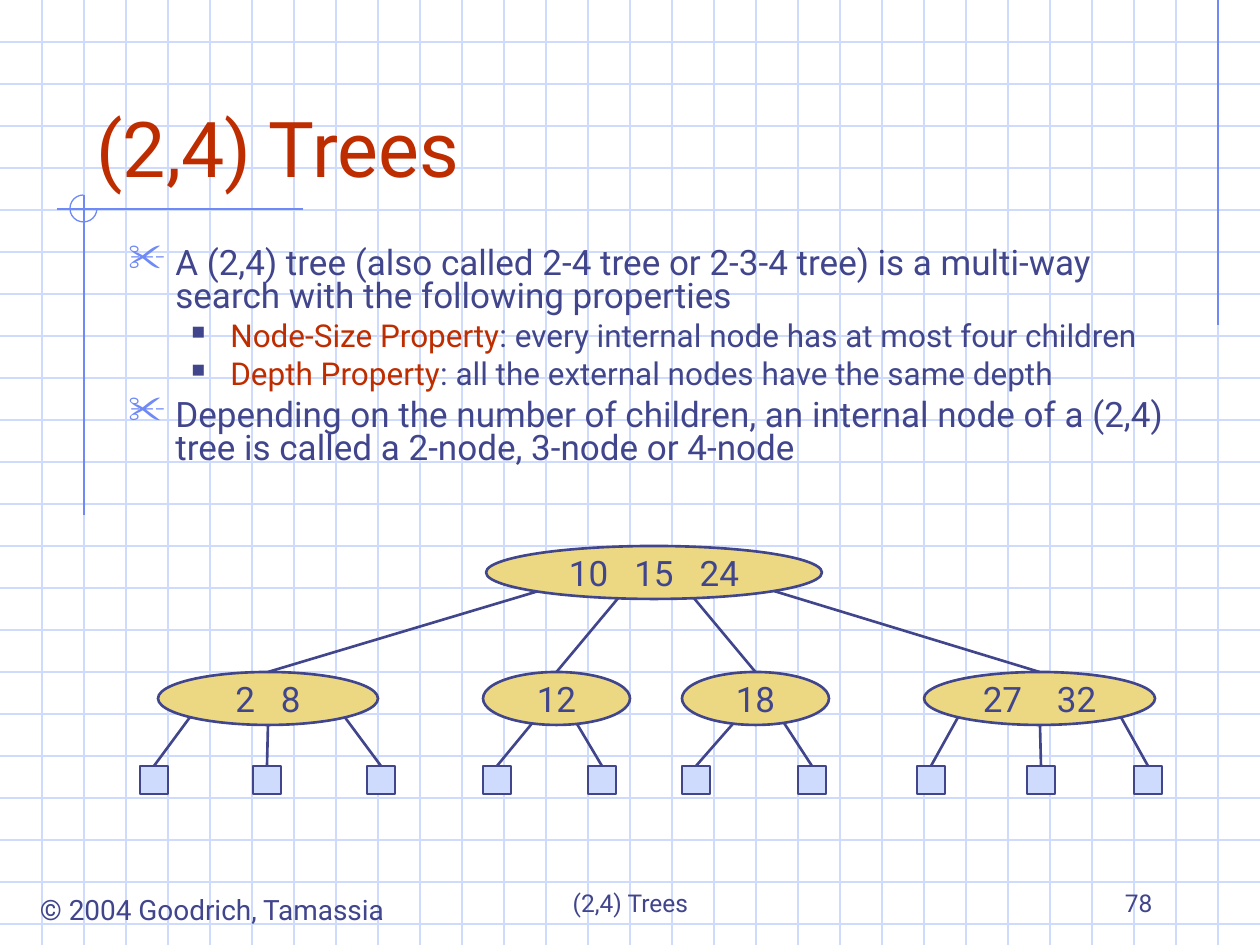
from math import sqrt

from lxml.etree import SubElement
from pptx import Presentation
from pptx.dml.color import RGBColor
from pptx.enum.shapes import MSO_CONNECTOR, MSO_SHAPE
from pptx.enum.text import MSO_ANCHOR as Anchor, MSO_AUTO_SIZE as AutoSize, PP_ALIGN as Align
from pptx.oxml.ns import qn
from pptx.util import Emu, Pt

FONT = "Roboto"
INK, RUST, BLUE = "40458C", "BE2D00", "6F89F7"
PALE, GOLD = "CFDBFD", "ECD882"
WIDTH, HEIGHT, GRID_STEP = 1260, 945, 42
NODE_HEIGHT, LEAF_SIZE = 53, 28
ROOT_TOP, CHILD_TOP, LEAF_TOP = 546, 672, 766
SPACE_WIDTH = 4.95

ROOT = (486, 336, ["10", "15", "24"], 3)
CHILDREN = [
    (537, (158, 220, ["2", "8"], 3), [(190, 140), (268, 253), (345, 367)]),
    (618, (483, 147, ["12"], 0), [(532, 483), (577, 588)]),
    (694, (682, 147, ["18"], 0), [(733, 682), (784, 798)]),
    (774, (924, 231, ["27", "32"], 4), [(958, 917), (1040, 1027), (1121, 1134)]),
]
POINTS = [
    (0, [("A (2,4) tree (also called 2-4 tree or 2-3-4 tree) is a multi-way "
          "search with the following properties", INK)]),
    (1, [("Node-Size Property", RUST),
         (": every internal node has at most four children", INK)]),
    (1, [("Depth Property", RUST),
         (": all the external nodes have the same depth", INK)]),
    (0, [("Depending on the number of children, an internal node of a (2,4) "
          "tree is called a 2-node, 3-node or 4-node", INK)]),
]
LEVELS = [
    {"size": 20, "margin": 47, "hang": 47, "before": 5,
     "bullet": ("✂", BLUE, 110)},
    {"size": 18, "margin": 102, "hang": 39, "before": 4.5,
     "bullet": ("■", INK, 60)},
]


def px(length):
    """Turn pixels into EMU."""
    return Emu(round(length * 914400 / 126))


def rgb(code):
    """Turn a hex string into a colour."""
    return RGBColor.from_string(code)


def style_font(font, size, color):
    """Set face, size and colour of a font."""
    font.name, font.size = FONT, Pt(size)
    font.color.rgb = rgb(color)


def add_line(slide, start, end, color, weight):
    """Draw a straight line without shadow."""
    line = slide.shapes.add_connector(
        MSO_CONNECTOR.STRAIGHT, *(px(value) for value in (*start, *end)))
    line.line.color.rgb, line.line.width = rgb(color), Pt(weight)
    SubElement(line._element.spPr, qn("a:effectLst"))
    return line


def add_figure(slide, preset, box, fill, color=INK, weight=1.5):
    """Draw a preset shape, hollow when no fill is given."""
    figure = slide.shapes.add_shape(preset, *(px(value) for value in box))
    figure.shadow.inherit = False
    if fill:
        figure.fill.solid()
        figure.fill.fore_color.rgb = rgb(fill)
    else:
        figure.fill.background()
    figure.line.color.rgb, figure.line.width = rgb(color), Pt(weight)
    return figure


def add_background(slide):
    """Draw the graph paper and its accent lines."""
    for y in range(GRID_STEP, HEIGHT, GRID_STEP):
        add_line(slide, (0, y), (WIDTH, y), PALE, 0.75)
    for x in range(GRID_STEP, WIDTH, GRID_STEP):
        add_line(slide, (x, 0), (x, HEIGHT), PALE, 0.75)
    for start, end in [((1218, 0), (1218, 325)), ((303, 209), (57, 209)),
                       ((84, 195), (84, 515))]:
        add_line(slide, start, end, BLUE, 0.75)
    arc = add_figure(slide, MSO_SHAPE.ARC, (70, 195, 27, 27), None, BLUE, 0.75)
    arc.adjustments[0], arc.adjustments[1] = 0, 162


def add_title(slide, text):
    """Place the title placeholder above the background."""
    title = slide.shapes.title
    slide.shapes._spTree.append(title._element)
    title.left, title.top, title.width, title.height = map(px, (84, 42, 1071, 157))
    frame = title.text_frame
    frame.text = text
    frame.vertical_anchor, frame.auto_size = Anchor.BOTTOM, AutoSize.NONE
    frame.paragraphs[0].alignment = Align.LEFT
    style_font(frame.paragraphs[0].runs[0].font, 44, RUST)


def add_label(slide, box, text, size, align, anchor=Anchor.BOTTOM, wrap=True):
    """Add one line of footer text."""
    frame = slide.shapes.add_textbox(*(px(value) for value in box)).text_frame
    frame.text = text
    frame.word_wrap, frame.vertical_anchor = wrap, anchor
    frame.paragraphs[0].alignment = align
    style_font(frame.paragraphs[0].runs[0].font, size, INK)


def set_bullet(paragraph, level):
    """Give a paragraph its hanging bullet."""
    symbol, color, percent = level["bullet"]
    props = paragraph._p.get_or_add_pPr()
    props.set("marL", str(px(level["margin"])))
    props.set("indent", str(-px(level["hang"])))
    SubElement(SubElement(props, qn("a:buClr")), qn("a:srgbClr"), val=color)
    SubElement(props, qn("a:buSzPct"), val=str(percent * 1000))
    SubElement(props, qn("a:buChar"), char=symbol)


def add_points(slide):
    """Write the bulleted definition."""
    frame = slide.shapes.add_textbox(px(116), px(242), px(1071), px(273)).text_frame
    frame.word_wrap = True
    for index, (depth, parts) in enumerate(POINTS):
        paragraph = frame.add_paragraph() if index else frame.paragraphs[0]
        level = LEVELS[depth]
        set_bullet(paragraph, level)
        paragraph.level, paragraph.line_spacing = depth, 0.8
        paragraph.space_before = Pt(level["before"] if index else 0)
        for text, color in parts:
            run = paragraph.add_run()
            run.text = text
            style_font(run.font, level["size"], color)


def add_node(slide, top, node):
    """Draw an ellipse with its keys, kept apart by widened spaces."""
    left, width, keys, gap = node
    ellipse = add_figure(slide, MSO_SHAPE.OVAL, (left, top, width, NODE_HEIGHT), GOLD)
    frame = ellipse.text_frame
    frame.word_wrap, frame.vertical_anchor = False, Anchor.MIDDLE
    paragraph = frame.paragraphs[0]
    paragraph.alignment = Align.CENTER
    for text in " | ".join(keys).replace(" | ", "| |").split("|"):
        run = paragraph.add_run()
        run.text = text
        style_font(run.font, 20, INK)
        if text == " ":
            run._r.get_or_add_rPr().set("spc", str(round((gap - 1) * SPACE_WIDTH * 100)))
    return ellipse


def add_branch(slide, node, top, x, target):
    """Join the lower rim of a node at x to the top of a target."""
    left, width = node[:2]
    offset = (x - left - width / 2) / (width / 2)
    y = top + NODE_HEIGHT / 2 * (1 + sqrt(1 - offset ** 2))
    add_line(slide, (x, y), (x, y), INK, 1.5).end_connect(target, 0)


def add_tree(slide):
    """Draw the root, its children and their leaves."""
    add_node(slide, ROOT_TOP, ROOT)
    for root_x, child, leaves in CHILDREN:
        add_branch(slide, ROOT, ROOT_TOP, root_x, add_node(slide, CHILD_TOP, child))
        for x, leaf_left in leaves:
            leaf = add_figure(slide, MSO_SHAPE.RECTANGLE,
                              (leaf_left, LEAF_TOP, LEAF_SIZE, LEAF_SIZE), PALE)
            add_branch(slide, child, CHILD_TOP, x, leaf)


def main():
    """Build the slide and save it."""
    deck = Presentation()
    deck.slide_width, deck.slide_height = px(WIDTH), px(HEIGHT)
    slide = deck.slides.add_slide(deck.slide_layouts[5])
    add_background(slide)
    add_label(slide, (20, 886, 384, 47), "© 2004 Goodrich, Tamassia", 16,
              Align.CENTER, Anchor.TOP, False)
    add_label(slide, (431, 861, 399, 63), "(2,4) Trees", 14, Align.CENTER)
    add_label(slide, (903, 861, 262, 63), "78", 14, Align.RIGHT)
    add_title(slide, "(2,4) Trees")
    add_points(slide)
    add_tree(slide)
    deck.save("out.pptx")


if __name__ == "__main__":
    main()
